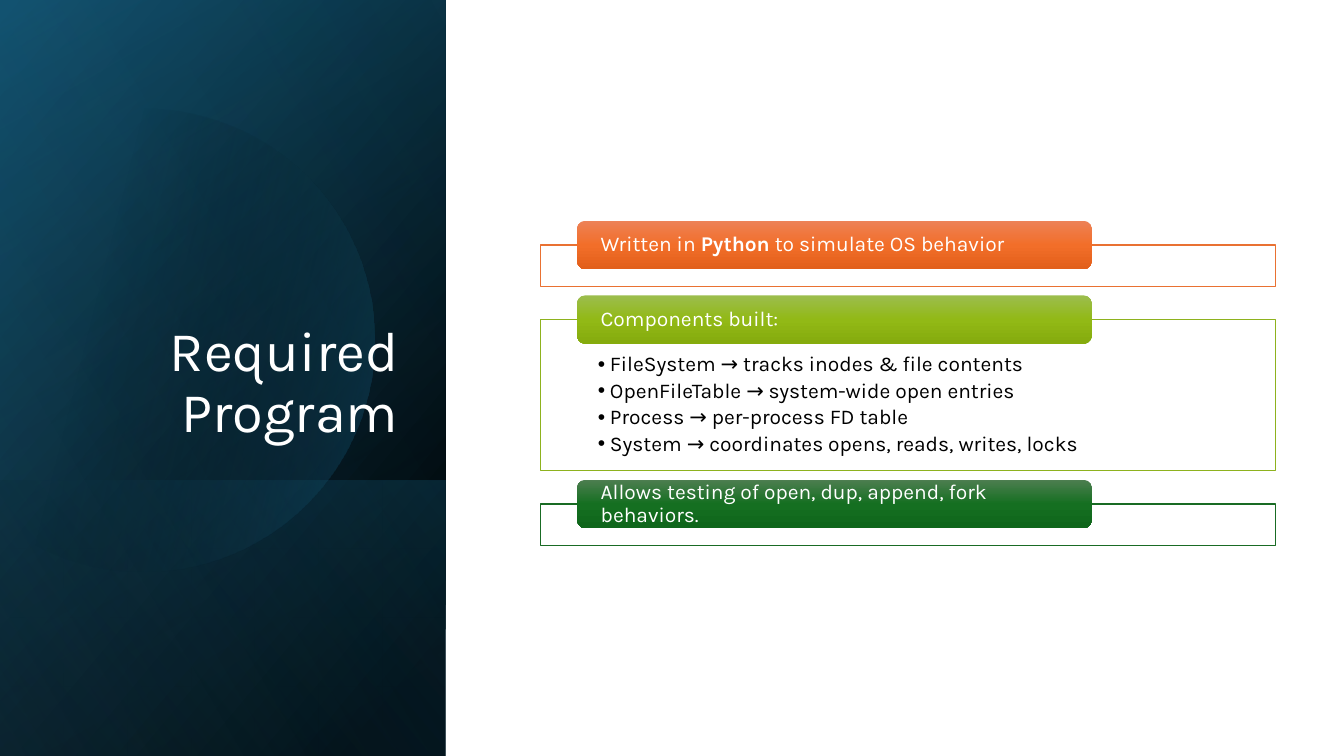
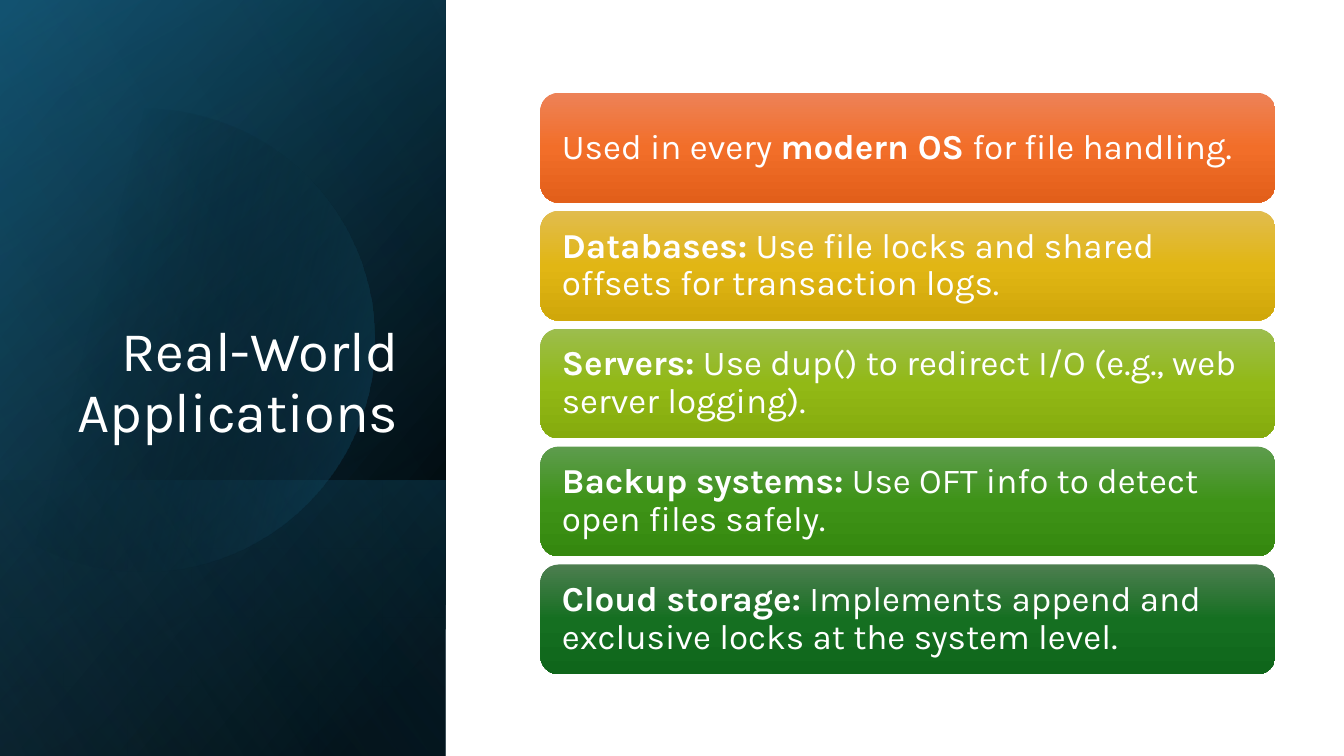
from math import acos, cos, pi, sin

from pptx import Presentation
from pptx.dml.color import RGBColor
from pptx.enum.shapes import MSO_SHAPE
from pptx.enum.text import MSO_ANCHOR, MSO_AUTO_SIZE, PP_ALIGN
from pptx.oxml import parse_xml
from pptx.oxml.ns import nsdecls, qn
from pptx.util import Emu, Inches, Pt

FONT = "Karla"
COLS, ROWS = 133.3, 75  # the grid has ten cells to the inch
PANEL = (0, 0, 44.2, ROWS)
TITLE = (6.4, 18.4, 34.1, 26.2)
LEFT, WIDE = 53.6, 72.9

INK = {
    "white": "FFFFFF", "black": "000000", "navy": "104862",
    "teal": "156082", "sky": "46B1E1",
}
EDGE = {"orange": "E97132", "lime": "8EB21E", "pine": "196B24"}
SHADE = {
    "orange": ("ED8257", "F26E29", "E25F1A"),
    "gold": ("E1BC4E", "E1B614", "D0A70A"),
    "lime": ("9CBD4E", "92B916", "85AB0D"),
    "green": ("5E9C4E", "3E9317", "35880F"),
    "pine": ("4D7E50", "156F21", "0F661B"),
}

SECTIONS = [
    ("orange", "Written in **Python** to simulate OS behavior", 4.1),
    ("lime", "Components built:", 15),
    ("pine", "Allows testing of open, dup, append, fork behaviors.", 4.1),
]
PARTS = [
    "FileSystem → tracks inodes & file contents",
    "OpenFileTable → system-wide open entries",
    "Process → per-process FD table",
    "System → coordinates opens, reads, writes, locks",
]
USES = [
    ("orange", "Used in every **modern OS** for file handling."),
    ("gold", "**Databases:** Use file locks and shared offsets for transaction logs."),
    ("lime", "**Servers:** Use dup() to redirect I/O (e.g., web server logging)."),
    ("green", "**Backup systems:** Use OFT info to detect open files safely."),
    ("pine", "**Cloud storage:** Implements append and exclusive locks at the system level."),
]


def cell(count):
    return Emu(round(count * Inches(0.1)))


def rgb(code):
    return RGBColor.from_string(code)


def move(shape, box):
    shape.left, shape.top, shape.width, shape.height = map(cell, box)


def paint(shape, stops, angle):
    """Fill with a gradient of (place, colour, opacity) stops, without outline."""
    marks = "".join(
        f'<a:gs pos="{place * 1000}"><a:srgbClr val="{code}">'
        f'<a:alpha val="{alpha * 1000}"/></a:srgbClr></a:gs>'
        for place, code, alpha in stops)
    shape.fill.solid()
    props = shape.element.spPr
    props.replace(props.find(qn("a:solidFill")), parse_xml(
        f'<a:gradFill {nsdecls("a")} rotWithShape="1"><a:gsLst>{marks}</a:gsLst>'
        f'<a:lin ang="{angle * 60000}" scaled="0"/></a:gradFill>'))
    shape.line.fill.background()
    shape.shadow.inherit = False


def wash(slide, box, stops, angle):
    """Cover the box with a gradient that lies a quarter turn round and mirrored."""
    x, y, w, h = box
    turned = (x + (w - h) / 2, y + (h - w) / 2, h, w)
    shape = slide.shapes.add_shape(MSO_SHAPE.RECTANGLE, *map(cell, turned))
    shape.rotation = 90
    shape.element.spPr.find(qn("a:xfrm")).set("flipH", "1")
    paint(shape, stops, angle)


def disc(slide, box):
    """Draw a circle cut off by the left side of the box."""
    x, y, w, h = box
    mid, size, steps = 0.32, 0.52, 80
    limit = acos(-mid / size)
    turns = [limit * (2 * i / steps - 1) for i in range(steps + 1)]
    points = [(cell(x + w * (mid + size * cos(t))),
               cell(y + h * 0.45 + w * size * sin(t))) for t in turns]
    pen = slide.shapes.build_freeform(*points[0])
    pen.add_line_segments(points[1:], close=True)
    paint(pen.convert_to_shape(),
          [(29, INK["black"], 0), (100, INK["teal"], 43)], 14)


def panel(slide, box):
    x, y, w, h = box
    black, teal = INK["black"], INK["teal"]
    low = 0.63 * h + 0.4
    wash(slide, box, [(8, black, 100), (100, INK["navy"], 100)], 50)
    wash(slide, box, [(0, black, 0), (99, teal, 46)], 30)
    wash(slide, (x, y + low, w, h - low), [(2, teal, 29), (100, black, 30)], 130)
    disc(slide, box)
    wash(slide, box, [(0, black, 0), (99, INK["sky"], 11)], 120)


def style(para, size, code):
    para.font.name, para.font.size = FONT, Pt(size)
    para.font.color.rgb = rgb(code)
    para.line_spacing = 0.9
    para.space_before = Pt(0)


def inset(frame, left, top, right, low):
    frame.word_wrap = True
    frame.auto_size = MSO_AUTO_SIZE.NONE
    frame.margin_left, frame.margin_top = cell(left), cell(top)
    frame.margin_right, frame.margin_bottom = cell(right), cell(low)


def start(deck, layout, title):
    """Add a slide with the dark panel and its title."""
    slide = deck.slides.add_slide(deck.slide_layouts[layout])
    panel(slide, PANEL)
    head = slide.shapes.title
    slide.shapes.element.append(head.element)
    move(head, TITLE)
    frame = head.text_frame
    frame.text = title
    inset(frame, 1, 0.5, 1, 0.5)
    frame.vertical_anchor = MSO_ANCHOR.BOTTOM
    para = frame.paragraphs[0]
    para.alignment = PP_ALIGN.RIGHT
    style(para, 40, INK["white"])
    return slide


def pill(slide, box, tone, text, size, pad):
    """Draw a shaded round box; text between ** marks is bold."""
    shape = slide.shapes.add_shape(MSO_SHAPE.ROUNDED_RECTANGLE, *map(cell, box))
    paint(shape, [(i * 50, code, 100) for i, code in enumerate(SHADE[tone])], 90)
    frame = shape.text_frame
    inset(frame, pad, 0, pad, 0)
    frame.vertical_anchor = MSO_ANCHOR.MIDDLE
    para = frame.paragraphs[0]
    para.alignment = PP_ALIGN.LEFT
    style(para, size, INK["white"])
    for i, part in enumerate(text.split("**")):
        if part:
            run = para.add_run()
            run.text = part
            run.font.bold = i % 2 == 1


def bullets(slide, box, items):
    body = slide.placeholders[1]
    slide.shapes.element.append(body.element)
    move(body, box)
    frame = body.text_frame
    frame.text = "\n".join(items)
    inset(frame, 5.7, 3.4, 5.7, 1.2)
    frame.vertical_anchor = MSO_ANCHOR.TOP
    for para in frame.paragraphs:
        style(para, 15, INK["black"])
        para.space_after = Pt(2.7)
        props = para.font._element.getparent()
        props.set("marL", str(cell(1.2)))
        props.set("indent", str(cell(-1.2)))
        props.find(qn("a:defRPr")).addprevious(
            parse_xml(f'<a:buChar {nsdecls("a")} char="•"/>'))


def section(slide, box, tone, text, items):
    """Draw an outlined box with a tab across its top side."""
    x, y, w, h = box
    frame = slide.shapes.add_shape(MSO_SHAPE.RECTANGLE, *map(cell, box))
    frame.fill.solid()
    frame.fill.fore_color.rgb = rgb(INK["white"])
    frame.line.color.rgb = rgb(EDGE[tone])
    frame.line.width = Pt(1)
    frame.shadow.inherit = False
    if items:
        bullets(slide, box, items)
    tab = 4.8
    pill(slide, (x + 0.05 * w, y - tab / 2, 0.7 * w, tab), tone, text, 15, 2.1)


def program(deck):
    slide = start(deck, 1, "Required Program")
    top, gap = 24.3, 3.3
    for tone, text, high in SECTIONS:
        items = PARTS if tone == "lime" else []
        section(slide, (LEFT, top, WIDE, high), tone, text, items)
        top += high + gap


def uses(deck):
    slide = start(deck, 5, "Real-World Applications")
    top, high, gap = 9.2, 10.9, 0.8
    for i, (tone, text) in enumerate(USES):
        box = (LEFT, top + i * (high + gap), WIDE, high)
        pill(slide, box, tone, text, 25, 1.6)


def main():
    deck = Presentation()
    deck.slide_width, deck.slide_height = cell(COLS), cell(ROWS)
    program(deck)
    uses(deck)
    deck.save("out.pptx")


if __name__ == "__main__":
    main()
